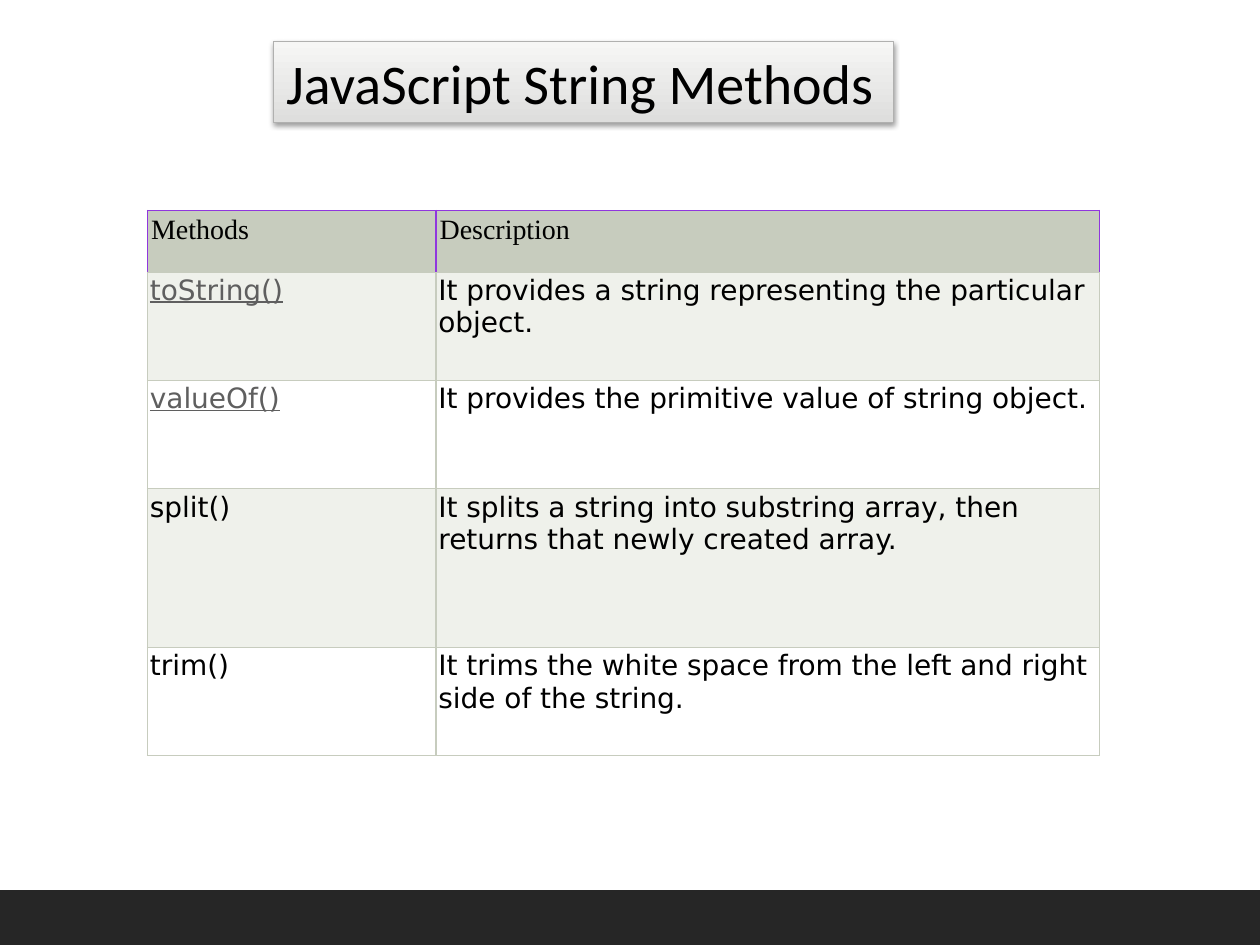
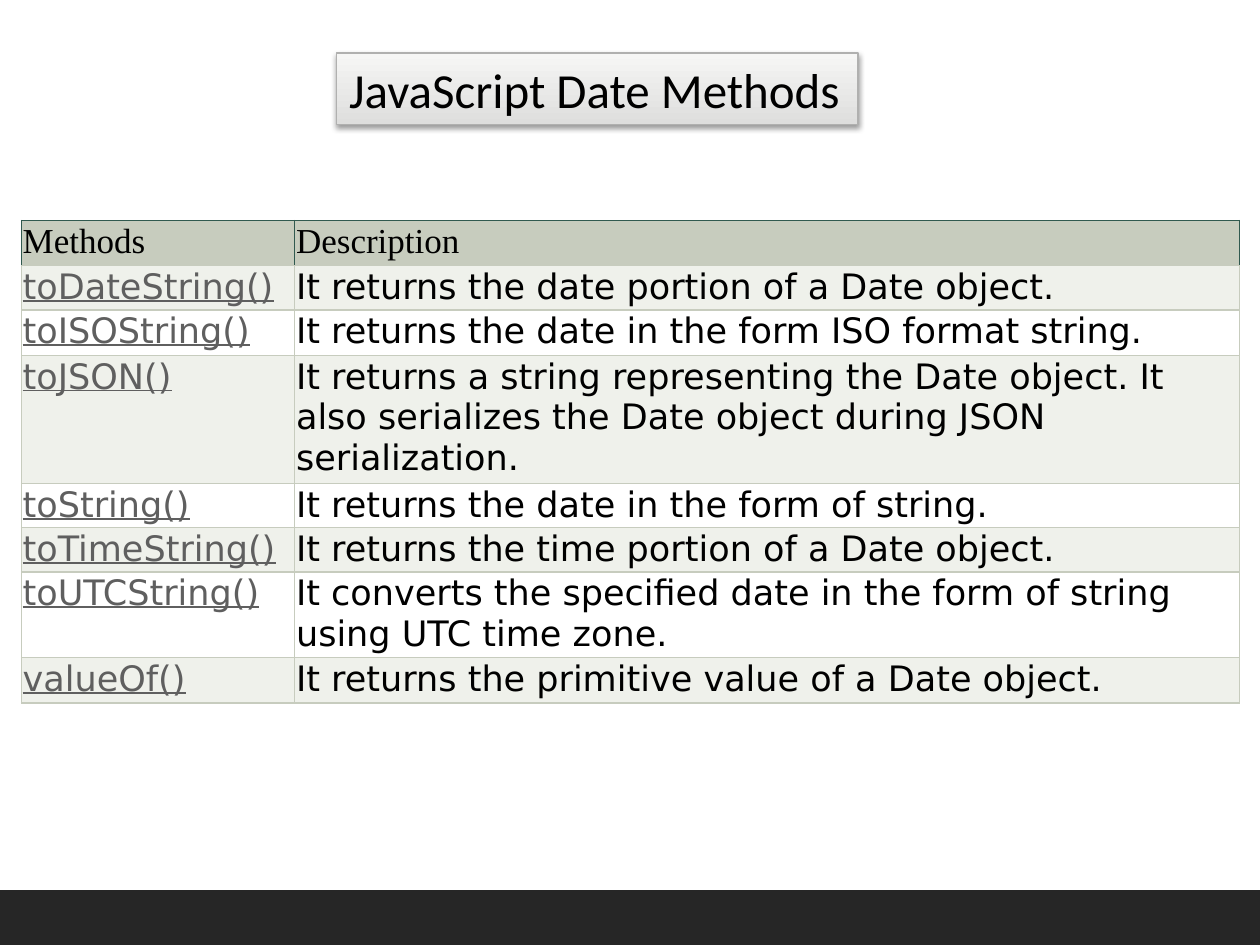
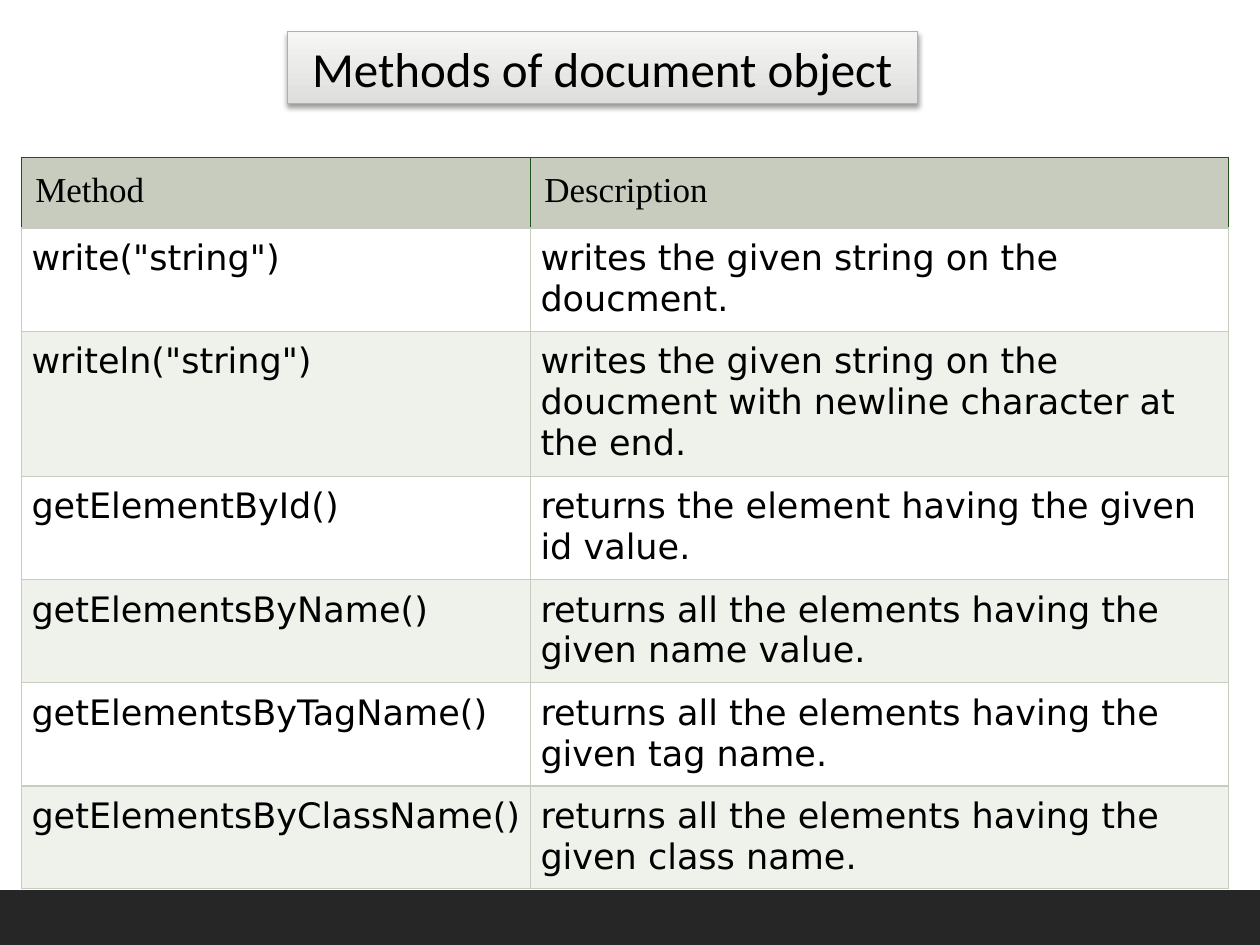
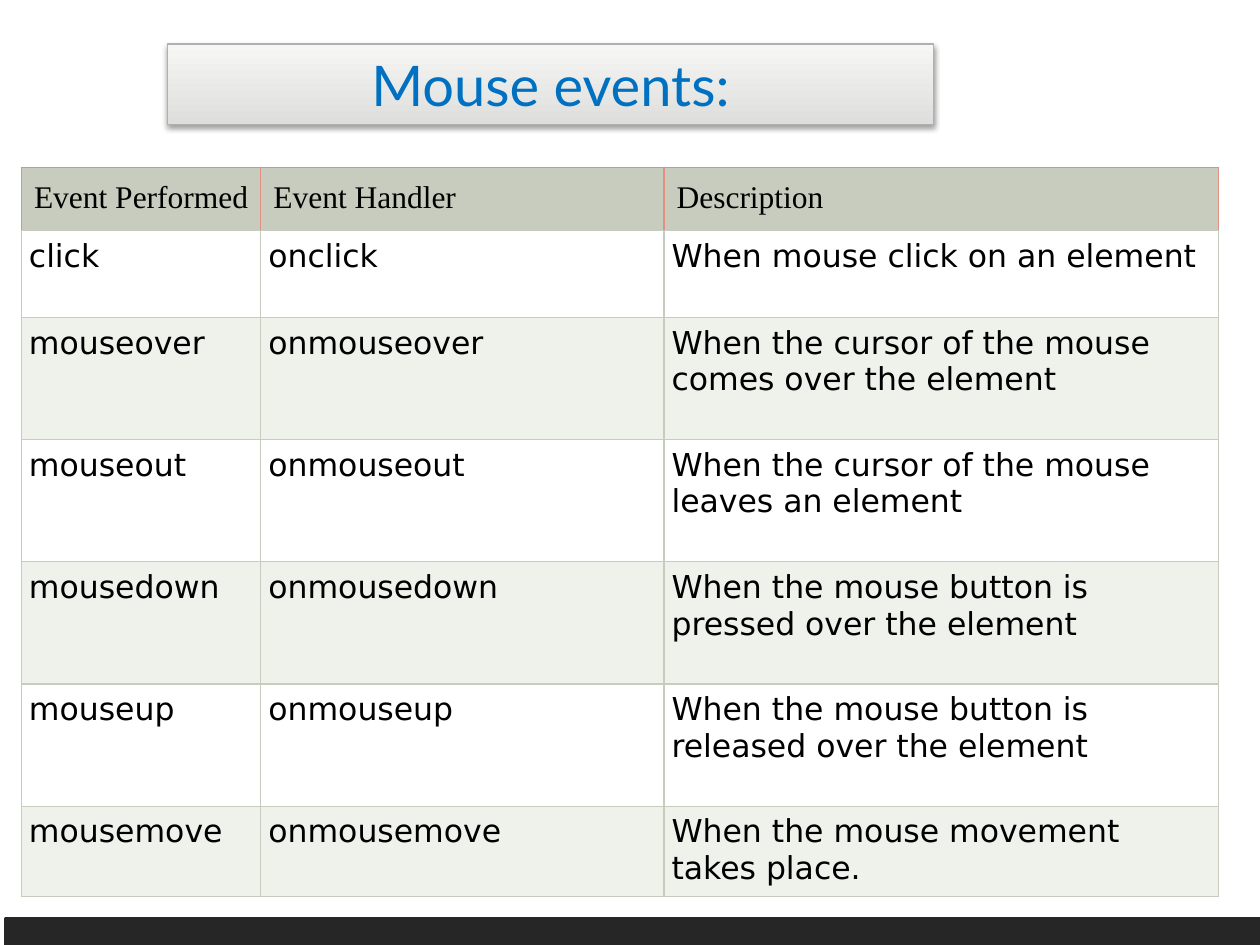
from lxml.etree import SubElement, Element
from pptx import Presentation
from pptx.dml.color import RGBColor
from pptx.enum.shapes import MSO_SHAPE
from pptx.enum.text import MSO_ANCHOR, MSO_AUTO_SIZE, PP_ALIGN
from pptx.oxml.ns import qn
from pptx.util import Inches, Pt

COLORS = {
    "ink": "000000", "link": "5F5F5F", "blue": "0070C0", "white": "FFFFFF",
    "head": "C7CCBE", "tint": "EFF1EB", "band": "262626",
    "low": "DEDEDD", "high": "F6F6F5", "edge": "B0B0AF",
    "violet": "9036DE", "teal": "30594F", "green": "205419", "coral": "E08F81",
}
MARGINS = {"margin_left": 1, "margin_top": 1, "margin_right": 0.8, "margin_bottom": 1}
BAND = (0, 7.08, 10, 0.42)

DECK = [
    {
        "title": {"text": "JavaScript String Methods", "at": (2.17, 0.33, 4.92, 0.64),
                  "size": 32, "wrap": False},
        "table": {
            "at": (1.17, 1.67), "cols": (2.29, 5.27),
            "heights": (0.49, 0.86, 0.86, 1.26, 0.86),
            "size": 16, "insets": (0.03, 0.02), "edge": "violet",
            "links": 2, "fills": ("tint", "white"),
            "rows": [
                ("Methods", "Description"),
                ("toString()", "It provides a string representing the particular object."),
                ("valueOf()", "It provides the primitive value of string object."),
                ("split()", "It splits a string into substring array, then returns that newly created array."),
                ("trim()", "It trims the white space from the left and right side of the string."),
            ],
        },
    },
    {
        "title": {"text": "JavaScript Date Methods", "at": (2.67, 0.42, 4.14, 0.57),
                  "size": 28, "wrap": False},
        "table": {
            "at": (0.17, 1.75), "cols": (2.17, 7.5),
            "heights": (0.36, 0.35, 0.36, 1.02, 0.35, 0.35, 0.68, 0.36),
            "size": 20, "insets": (0.01, 0.01), "edge": "teal",
            "links": 7, "fills": ("tint", "white"),
            "rows": [
                ("Methods", "Description"),
                ("toDateString()", "It returns the date portion of a Date object."),
                ("toISOString()", "It returns the date in the form ISO format string."),
                ("toJSON()", "It returns a string representing the Date object. It also serializes the Date object during JSON serialization."),
                ("toString()", "It returns the date in the form of string."),
                ("toTimeString()", "It returns the time portion of a Date object."),
                ("toUTCString()", "It converts the specified date in the form of string using UTC time zone."),
                ("valueOf()", "It returns the primitive value of a Date object."),
            ],
        },
    },
    {
        "title": {"text": "Methods of document object", "at": (2.28, 0.25, 5, 0.57),
                  "size": 28},
        "table": {
            "at": (0.17, 1.25), "cols": (4.04, 5.54),
            "heights": (0.56, 0.82, 1.15, 0.82, 0.82, 0.82, 0.81),
            "size": 20, "insets": (0.11, 0.08), "edge": "green",
            "links": 0, "fills": ("white", "tint"),
            "rows": [
                ("Method", "Description"),
                ('write("string")', "writes the given string on the doucment."),
                ('writeln("string")', "writes the given string on the doucment with newline character at the end."),
                ("getElementById()", "returns the element having the given id value."),
                ("getElementsByName()", "returns all the elements having the given name value."),
                ("getElementsByTagName()", "returns all the elements having the given tag name."),
                ("getElementsByClassName()", "returns all the elements having the given class name."),
            ],
        },
    },
    {
        "title": {"text": "Mouse events:", "at": (1.33, 0.35, 6.08, 0.64),
                  "size": 32, "font": "Lato", "color": "blue"},
        "band": (0.05, 7.29, 10, 0.42),
        "table": {
            "at": (0.17, 1.33), "cols": (1.9, 3.2, 4.4),
            "heights": (0.5, 0.69, 0.97, 0.97, 0.97, 0.97, 0.72),
            "size": 18, "insets": (0.1, 0.06), "edge": "coral",
            "links": 0, "fills": ("white", "tint"),
            "rows": [
                ("Event Performed", "Event Handler", "Description"),
                ("click", "onclick", "When mouse click on an element"),
                ("mouseover", "onmouseover", "When the cursor of the mouse comes over the element"),
                ("mouseout", "onmouseout", "When the cursor of the mouse leaves an element"),
                ("mousedown", "onmousedown", "When the mouse button is pressed over the element"),
                ("mouseup", "onmouseup", "When the mouse button is released over the element"),
                ("mousemove", "onmousemove", "When the mouse movement takes place."),
            ],
        },
    },
]


def rgb(name):
    return RGBColor.from_string(COLORS[name])


def apply(item, values):
    for key, value in values.items():
        setattr(item, key, value)


def paint(fill, name):
    fill.solid()
    fill.fore_color.rgb = rgb(name)


def write(frame, text, color, **values):
    run = frame.paragraphs[0].add_run()
    run.text = text
    apply(run.font, values)
    run.font.color.rgb = rgb(color)


def add_shade(shape):
    effects = SubElement(shape.element.spPr, qn("a:effectLst"))
    shade = SubElement(effects, qn("a:outerShdw"), blurRad=str(Pt(3.1)),
                       dist=str(Pt(1.6)), dir="5400000", rotWithShape="0")
    color = SubElement(shade, qn("a:srgbClr"), val=COLORS["ink"])
    SubElement(color, qn("a:alpha"), val="38000")


def add_title(slide, text, at, size, font="Calibri", color="ink", wrap=True):
    title = slide.shapes.title
    apply(title, dict(zip(("left", "top", "width", "height"), map(Inches, at))))
    title.fill.gradient()
    title.fill.gradient_angle = 90
    for place, (stop, name) in enumerate(zip(title.fill.gradient_stops, ("low", "high"))):
        stop.color.rgb = rgb(name)
        stop.position = place
    title.line.color.rgb = rgb("edge")
    title.line.width = Pt(0.75)
    add_shade(title)
    frame = title.text_frame
    apply(frame, {"word_wrap": wrap, "auto_size": MSO_AUTO_SIZE.NONE,
                  "vertical_anchor": MSO_ANCHOR.MIDDLE})
    frame.paragraphs[0].alignment = PP_ALIGN.CENTER if wrap else PP_ALIGN.LEFT
    write(frame, text, color, size=Pt(size), name=font)


def add_band(slide, at):
    band = slide.shapes.add_shape(MSO_SHAPE.RECTANGLE, *map(Inches, at))
    band.shadow.inherit = False
    paint(band.fill, "band")
    band.line.color.rgb = rgb("band")
    band.line.width = Pt(2)


def add_edges(cell, side):
    props = cell._tc.get_or_add_tcPr()
    edges = {"lnL": side, "lnR": side, "lnT": side, "lnB": "head"}
    for spot, (tag, name) in enumerate(edges.items()):
        line = Element(qn("a:" + tag), w=str(Pt(0.75)))
        fill = SubElement(line, qn("a:solidFill"))
        SubElement(fill, qn("a:srgbClr"), val=COLORS[name])
        props.insert(spot, line)


def add_cell(cell, text, fill, edge, inset, color="ink", **values):
    apply(cell, {side: Inches(inset * part) for side, part in MARGINS.items()})
    paint(cell.fill, fill)
    add_edges(cell, edge)
    write(cell.text_frame, text, color, bold=False, **values)


def add_grid(slide, at, cols, heights, size, insets, edge, links, fills, rows):
    spot = map(Inches, (*at, sum(cols), sum(heights)))
    table = slide.shapes.add_table(len(rows), len(cols), *spot).table
    table.horz_banding = False
    for col, width in zip(table.columns, cols):
        col.width = Inches(width)
    for row, height in zip(table.rows, heights):
        row.height = Inches(height)
    for r, texts in enumerate(rows):
        for c, text in enumerate(texts):
            cell = table.cell(r, c)
            if r == 0:
                add_cell(cell, text, "head", edge, insets[0],
                         size=Pt(size), name="Times New Roman")
                continue
            linked = c == 0 and r <= links
            add_cell(cell, text, fills[(r - 1) % 2], "head", insets[1],
                     "link" if linked else "ink",
                     size=Pt(size), name="DejaVu Sans", underline=linked)


def main():
    deck = Presentation()
    deck.slide_width, deck.slide_height = Inches(10), Inches(7.5)
    for page in DECK:
        slide = deck.slides.add_slide(deck.slide_layouts[5])
        add_title(slide, **page["title"])
        add_grid(slide, **page["table"])
        add_band(slide, page.get("band", BAND))
    deck.save("out.pptx")


if __name__ == "__main__":
    main()
